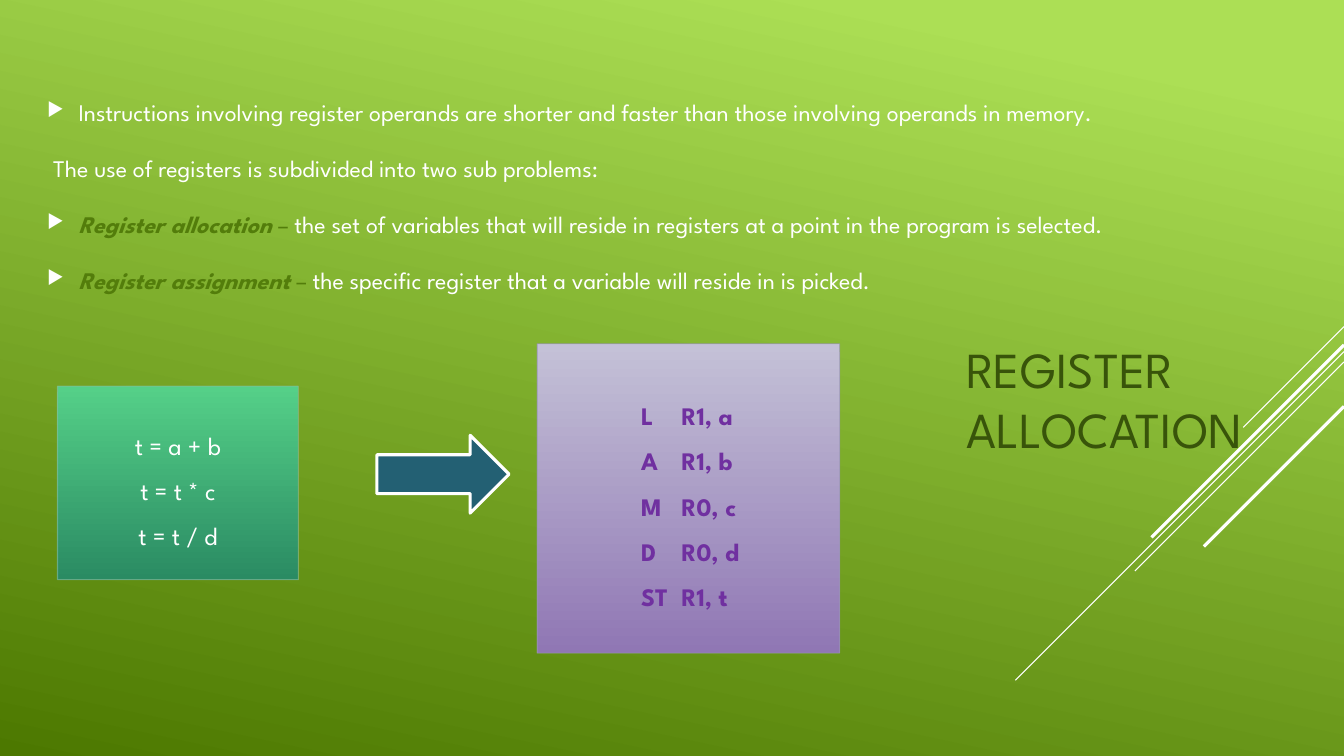
import pptx
import pptx.dml.color
import pptx.enum.shapes
import pptx.enum.text
import pptx.oxml
import pptx.oxml.ns
import pptx.util

Cm = pptx.util.Cm
Pt = pptx.util.Pt
RGBColor = pptx.dml.color.RGBColor
SHAPE = pptx.enum.shapes.MSO_SHAPE
ANCHOR = pptx.enum.text.MSO_ANCHOR
ALIGN = pptx.enum.text.PP_ALIGN

FONT = "League Spartan"
WHITE = RGBColor(0xFF, 0xFF, 0xFF)
LIME = RGBColor(0xAC, 0xDF, 0x55)
FOREST = RGBColor(0x4C, 0x78, 0x00)
TITLE_GREEN = RGBColor(0x38, 0x54, 0x0A)
TERM_GREEN = RGBColor(0x53, 0x7D, 0x0B)
MINT = RGBColor(0x55, 0xD0, 0x88)
JADE = RGBColor(0x2A, 0x8B, 0x63)
MINT_EDGE = RGBColor(0x8D, 0xBE, 0x9D)
LILAC = RGBColor(0xC4, 0xC1, 0xD7)
VIOLET = RGBColor(0x90, 0x77, 0xB4)
LILAC_EDGE = RGBColor(0x99, 0x95, 0xB3)
PURPLE = RGBColor(0x70, 0x30, 0xA0)
TEAL = RGBColor(0x23, 0x60, 0x73)

WIDTH, HEIGHT = 33.87, 19.05
STREAKS = [(8.23, 2.54, 0.75), (8.86, 8.28, 0.75), (9.12, 5.27, 0.75),
           (8.69, 4.85, 2.25), (10.24, 3.53, 2.25)]
INTRO = "Instructions involving register operands are shorter and faster than those involving operands in memory."
SUBPROBLEMS = "The use of registers is subdivided into two sub problems:"
ALLOCATION = " the set of variables that will reside in registers at a point in the program is selected."
ASSIGNMENT = " the specific register that a variable will reside in is picked."
SOURCE_CODE = ["t = a + b", "t = t * c", "t = t / d"]
MACHINE_CODE = ["L\tR1, a", "A\tR1, b", "M\tR0, c", "D\tR0, d", "ST\tR1, t"]


def add_xml(parent, xml):
    """Append an element in the drawing namespace."""
    parent.append(pptx.oxml.parse_xml(xml.replace("/>", f' {pptx.oxml.ns.nsdecls("a")}/>', 1)))


def set_gradient(fill, stops, angle):
    """Give a fill a two-colour linear gradient."""
    fill.gradient()
    fill.gradient_angle = angle
    for stop, (position, color) in zip(fill.gradient_stops, stops):
        stop.position = position
        stop.color.rgb = color


def add_run(p, text, size, color, bold=False, italic=False):
    """Append one formatted run to a paragraph."""
    r = p.add_run()
    r.text = text
    r.font.name = FONT
    r.font.size = Pt(size)
    r.font.color.rgb = color
    r.font.bold = bold
    r.font.italic = italic


def add_paragraph(tf, index):
    """Return the paragraph at the given index, adding it after the first."""
    p = tf.paragraphs[0] if index == 0 else tf.add_paragraph()
    p.line_spacing = 1.5
    return p


def add_text_box(s, box, anchor):
    """Add a wrapping text box and return its text frame."""
    tf = s.shapes.add_textbox(*map(Cm, box)).text_frame
    tf.word_wrap = True
    tf.vertical_anchor = anchor
    return tf


def add_streaks(s, right):
    """Draw the diagonal streaks that run down from the right edge."""
    for top, run, weight in STREAKS:
        line = s.shapes.add_connector(
            pptx.enum.shapes.MSO_CONNECTOR.STRAIGHT,
            Cm(right), Cm(top), Cm(right - run), Cm(top + run))
        line.line.color.rgb = WHITE
        line.line.width = Pt(weight)
        add_xml(line._element.spPr, "<a:effectLst/>")


def add_title(s, box):
    """Write the slide title at the foot of its box."""
    p = add_text_box(s, box, ANCHOR.BOTTOM).paragraphs[0]
    add_run(p, "REGISTER", 36, TITLE_GREEN)
    p.add_line_break()
    add_run(p, "ALLOCATION", 36, TITLE_GREEN)


def add_points(s, box):
    """Write the explanation, with arrow bullets on all but the lead-in."""
    tf = add_text_box(s, box, ANCHOR.MIDDLE)
    points = [(None, INTRO), (None, SUBPROBLEMS),
              ("Register allocation ", ALLOCATION), ("Register assignment ", ASSIGNMENT)]
    for i, (term, text) in enumerate(points):
        p = add_paragraph(tf, i)
        p.space_before = Pt(3.4 if i else 0)
        p.space_after = Pt(6)
        pPr = p._p.get_or_add_pPr()
        if text == SUBPROBLEMS:
            pPr.set("marL", str(Cm(0.15)))
        else:
            pPr.set("marL", str(Cm(0.79)))
            pPr.set("indent", str(Cm(-0.79)))
            pPr.append(pptx.oxml.parse_xml(
                f'<a:buClr {pptx.oxml.ns.nsdecls("a")}><a:srgbClr val="{WHITE}"/></a:buClr>'))
            add_xml(pPr, '<a:buSzPct val="80000"/>')
            add_xml(pPr, '<a:buChar char="▶"/>')
        if term:
            add_run(p, term, 17, TERM_GREEN, bold=True, italic=True)
            add_run(p, "–", 17, TERM_GREEN)
        add_run(p, text, 17, WHITE)


def add_code_panel(s, box, shades, edge, lines, color, bold=False, columns=None):
    """Draw a gradient panel of code, centred or set in (inset, tab) columns."""
    sp = s.shapes.add_shape(SHAPE.RECTANGLE, *map(Cm, box))
    sp.shadow.inherit = False
    set_gradient(sp.fill, zip((0, 1), shades), 270)
    sp.line.color.rgb = edge
    sp.line.width = Pt(0.75)
    add_xml(sp.line.fill._xPr.find(".//" + pptx.oxml.ns.qn("a:srgbClr")), '<a:alpha val="60000"/>')
    tf = sp.text_frame
    tf.word_wrap = True
    tf.vertical_anchor = ANCHOR.MIDDLE
    if columns:
        tf.margin_left = Cm(columns[0])
    for i, text in enumerate(lines):
        p = add_paragraph(tf, i)
        p.alignment = ALIGN.LEFT if columns else ALIGN.CENTER
        if columns:
            p._p.get_or_add_pPr().append(pptx.oxml.parse_xml(
                f'<a:tabLst {pptx.oxml.ns.nsdecls("a")}><a:tab pos="{Cm(columns[1])}" algn="l"/></a:tabLst>'))
        add_run(p, text, 18, color, bold)


def add_arrow(s, box):
    """Draw the arrow from source code to machine code."""
    sp = s.shapes.add_shape(SHAPE.RIGHT_ARROW, *map(Cm, box))
    sp.shadow.inherit = False
    sp.fill.solid()
    sp.fill.fore_color.rgb = TEAL
    sp.line.color.rgb = WHITE
    sp.line.width = Pt(2.25)


def main():
    """Build the register allocation slide."""
    prs = pptx.Presentation()
    prs.slide_width, prs.slide_height = Cm(WIDTH), Cm(HEIGHT)
    s = prs.slides.add_slide(prs.slide_layouts[6])
    set_gradient(s.background.fill, [(0.1, LIME), (1, FOREST)], 258)
    add_streaks(s, WIDTH)
    add_title(s, (24.1, 2.62, 8.99, 9.07))
    add_points(s, (0.94, 1.45, 32.18, 6.63))
    add_code_panel(s, (1.45, 9.73, 6.07, 4.88), (MINT, JADE), MINT_EDGE, SOURCE_CODE, WHITE)
    add_code_panel(s, (13.54, 8.66, 7.62, 7.8), (LILAC, VIOLET), LILAC_EDGE,
                   MACHINE_CODE, PURPLE, bold=True, columns=(2.62, 1.02))
    add_arrow(s, (9.5, 10.97, 3.33, 1.96))
    prs.save("out.pptx")


if __name__ == "__main__":
    main()
